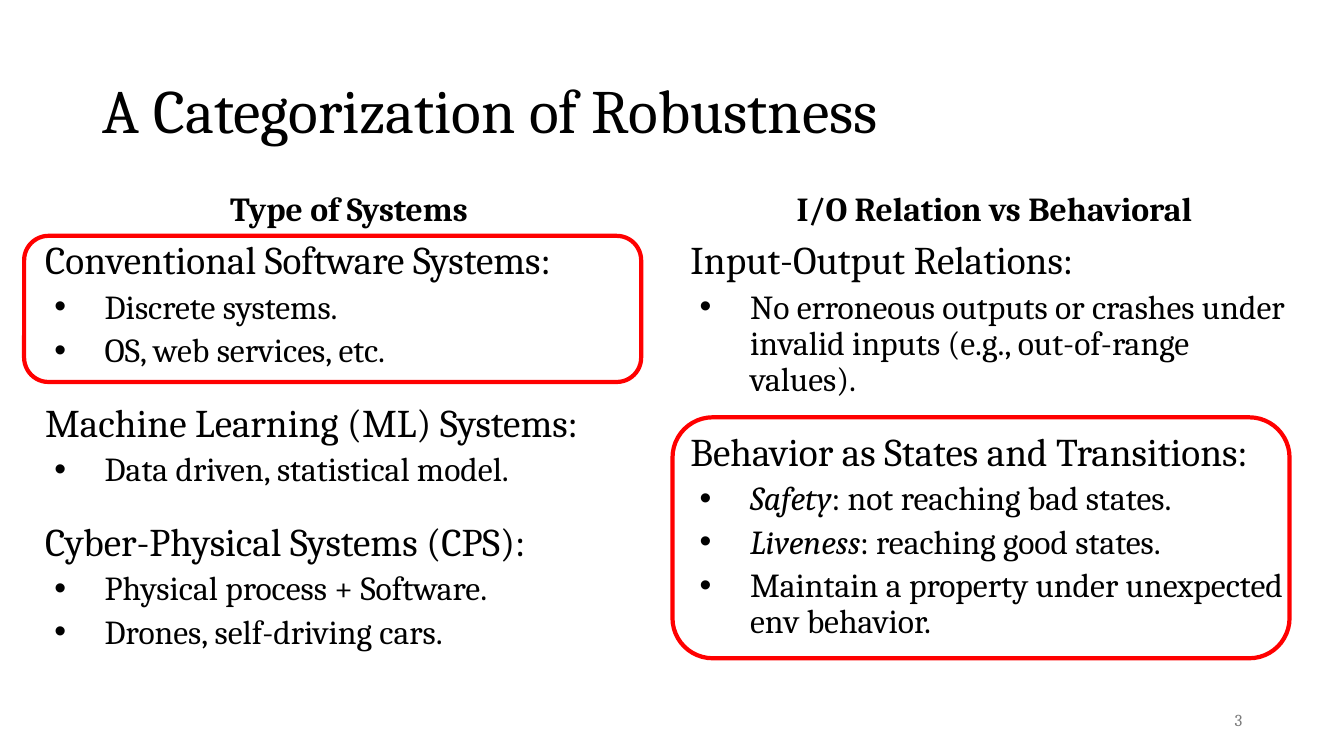
from lxml.etree import SubElement
from pptx import Presentation
from pptx.dml.color import RGBColor
from pptx.enum.shapes import MSO_SHAPE
from pptx.enum.text import MSO_ANCHOR, PP_ALIGN
from pptx.oxml.ns import qn
from pptx.util import Inches, Pt

COLUMN_LEFTS = (2.63, 50.64)
COLUMN_WIDTH = 46.67
HEADING_TOP, HEADING_HEIGHT = 24.53, 6.67
LIST_TOP, LIST_HEIGHT = 31.2, 59.07
FRAME_WIDTH = 45.91

COLUMNS = [
    ("Type of Systems", [
        ("Conventional Software Systems:", [
            ("", "Discrete systems."),
            ("", "OS, web services, etc."),
        ]),
        ("Machine Learning (ML) Systems:", [
            ("", "Data driven, statistical model."),
        ]),
        ("Cyber-Physical Systems (CPS):", [
            ("", "Physical process + Software."),
            ("", "Drones, self-driving cars."),
        ]),
    ]),
    ("I/O Relation vs Behavioral", [
        ("Input-Output Relations:", [
            ("", "No erroneous outputs or crashes under invalid inputs "
                 "(e.g., out-of-range values)."),
        ]),
        ("Behavior as States and Transitions:", [
            ("Safety", ": not reaching bad states."),
            ("Liveness", ": reaching good states."),
            ("", "Maintain a property under unexpected env behavior."),
        ]),
    ]),
]


def color(value):
    return RGBColor.from_string(value)


def add_span(para, text, size=24, bold=False, italic=False, fill="000000"):
    span = para.add_run()
    span.text = text
    span.font.name = "Cambria"
    span.font.size = Pt(size)
    span.font.bold = bold
    span.font.italic = italic
    span.font.color.rgb = color(fill)


def add_bullet(para):
    properties = para._p.get_or_add_pPr()
    properties.set("marL", str(Inches(0.59)))
    properties.set("indent", str(Inches(-0.5)))
    SubElement(properties, qn("a:buFont"), typeface="Arial")
    SubElement(properties, qn("a:buChar"), char="•")


class SlideBuilder:
    def __init__(self, deck):
        self.deck = deck
        self.slide = deck.slides.add_slide(deck.slide_layouts[5])

    def place(self, left, top, width, height):
        across, down = self.deck.slide_width / 100, self.deck.slide_height / 100
        return (round(left * across), round(top * down),
                round(width * across), round(height * down))

    def title(self, text, *area):
        box = self.slide.shapes.title
        box.left, box.top, box.width, box.height = self.place(*area)
        box.text_frame.vertical_anchor = MSO_ANCHOR.MIDDLE
        para = box.text_frame.paragraphs[0]
        para.alignment = PP_ALIGN.LEFT
        para.line_spacing = 0.9
        add_span(para, text, size=44)

    def text_frame(self, *area, anchor=MSO_ANCHOR.TOP):
        frame = self.slide.shapes.add_textbox(*self.place(*area)).text_frame
        frame.word_wrap = True
        frame.vertical_anchor = anchor
        return frame

    def label(self, text, *area, align=PP_ALIGN.CENTER, **style):
        frame = self.text_frame(*area, anchor=MSO_ANCHOR.MIDDLE)
        para = frame.paragraphs[0]
        para.alignment = align
        para.line_spacing = 0.9
        add_span(para, text, **style)

    def topics(self, groups, *area):
        frame = self.text_frame(*area)
        for index, (topic, points) in enumerate(groups):
            para = frame.add_paragraph() if index else frame.paragraphs[0]
            para.space_before = Pt(24 if index else 0)
            para.line_spacing = 0.9
            add_span(para, topic, size=28)
            for term, text in points:
                para = frame.add_paragraph()
                para.level = 1
                para.line_spacing = 0.9
                para.space_before = Pt(5)
                add_bullet(para)
                if term:
                    add_span(para, term, italic=True)
                add_span(para, text)

    def highlight(self, *area):
        shape = self.slide.shapes.add_shape(
            MSO_SHAPE.ROUNDED_RECTANGLE, *self.place(*area))
        shape.shadow.inherit = False
        shape.fill.background()
        shape.line.color.rgb = color("FF0000")
        shape.line.width = Pt(3)


def main():
    deck = Presentation()
    deck.slide_width, deck.slide_height = Inches(13.33), Inches(7.5)
    builder = SlideBuilder(deck)
    builder.title("A Categorization of Robustness", 6.9, 5.33, 86.27, 19.33)
    for left, (heading, groups) in zip(COLUMN_LEFTS, COLUMNS):
        builder.label(heading, left, HEADING_TOP, COLUMN_WIDTH, HEADING_HEIGHT,
                      bold=True)
        builder.topics(groups, left, LIST_TOP, COLUMN_WIDTH, LIST_HEIGHT)
    builder.label("3", 70.67, 92.67, 22.5, 5.33,
                  align=PP_ALIGN.RIGHT, size=12, fill="797979")
    builder.highlight(50.04, 55.2, FRAME_WIDTH, 31.87)
    builder.highlight(1.8, LIST_TOP, FRAME_WIDTH, 19.33)
    deck.save("out.pptx")


if __name__ == "__main__":
    main()
